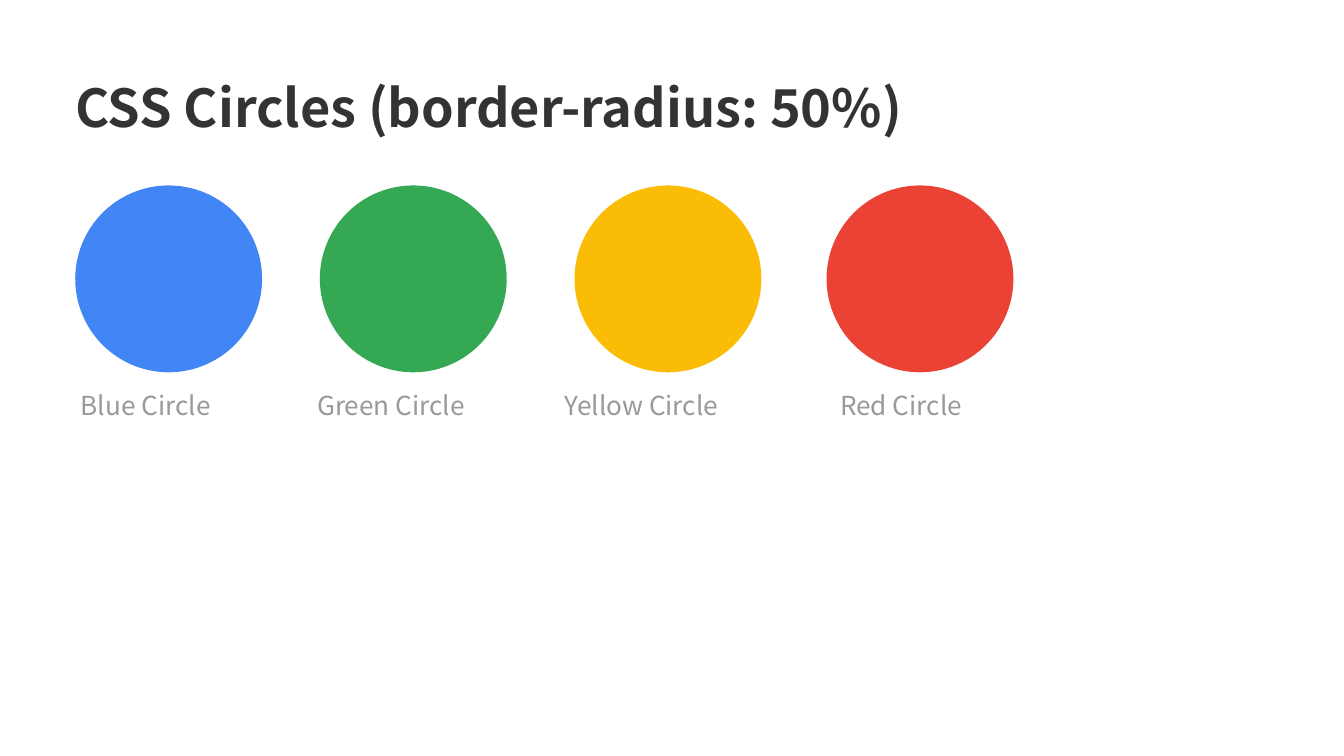
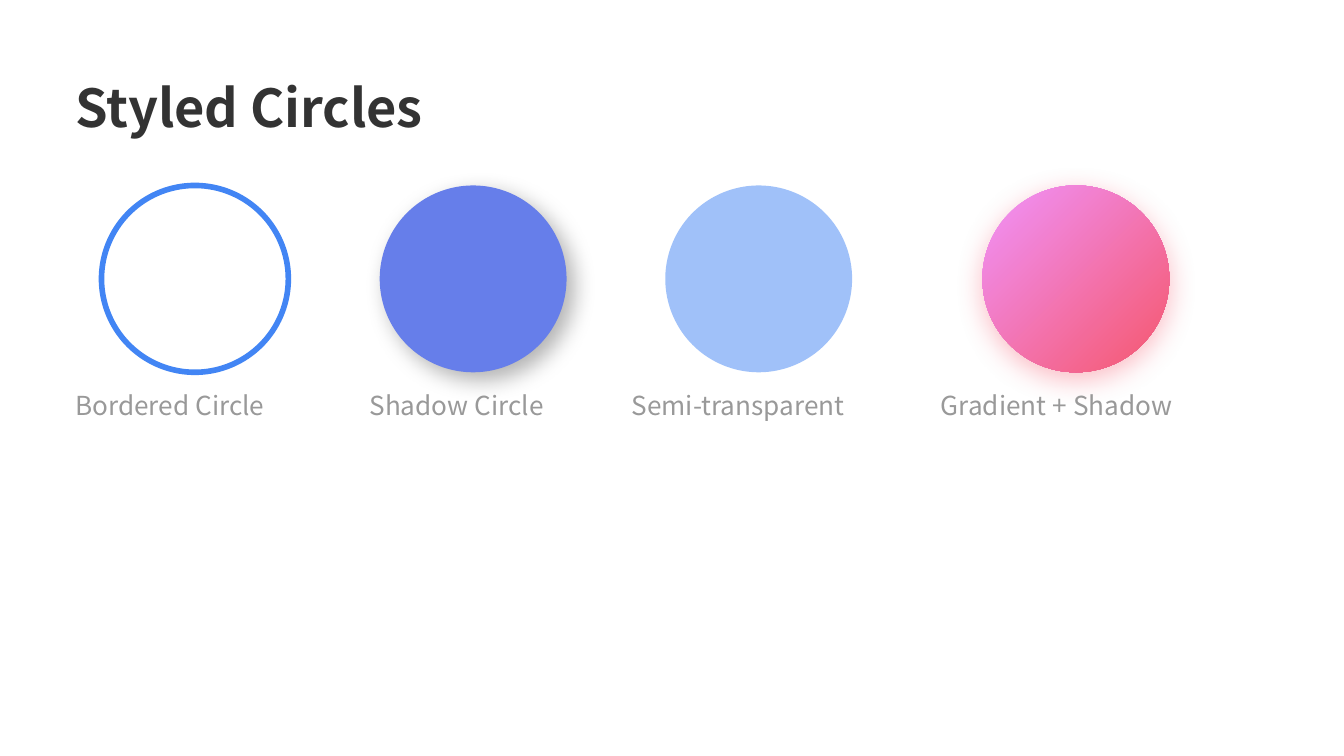
import pptx
import pptx.dml.color
import pptx.enum.shapes
import pptx.oxml
import pptx.oxml.ns
import pptx.util
from pptx.util import Inches

FONT = "Noto Sans CJK SC"
HUES = {
    "title": "333333", "label": "999999", "white": "FFFFFF", "black": "000000",
    "blue": "4285F4", "green": "34A853", "yellow": "FBBC05", "red": "EA4335",
    "indigo": "667EEA", "violet": "F093FB", "pink": "F5576C",
}
LEFT, GAP = 0.56, 0.41
SIZE = 1.39  # circle diameter

# Each circle: label, label width, style
DECK = [
    ("CSS Circles (border-radius: 50%)", [
        ("Blue Circle", 1.31, {"fill": "blue"}),
        ("Green Circle", 1.43, {"fill": "green"}),
        ("Yellow Circle", 1.54, {"fill": "yellow"}),
        ("Red Circle", 1.19, {"fill": "red"}),
    ]),
    ("Styled Circles", [
        ("Bordered Circle", 1.78, {"fill": "white", "line": "blue"}),
        # shadow: colour, opacity %, blur pt, distance pt, angle
        ("Shadow Circle", 1.54, {"fill": "indigo", "shadow": ("black", 30, 12, 5.7, 45)}),
        ("Semi-transparent", 1.89, {"fill": "blue", "alpha": 50}),
        ("Gradient + Shadow", 2.01, {"blend": ("violet", "pink"),
                                     "shadow": ("pink", 40, 15, 4, 90)}),
    ]),
]


def hue(name):
    return pptx.dml.color.RGBColor.from_string(HUES[name])


def write(shapes, text, left, top, width, height, size, tint, bold=False):
    frame = shapes.add_textbox(Inches(left), Inches(top), Inches(width), Inches(height)).text_frame
    frame.word_wrap = True
    frame.margin_left = frame.margin_right = frame.margin_top = frame.margin_bottom = 0
    run = frame.paragraphs[0].add_run()
    run.text = text
    run.font.name = FONT
    run.font.size = pptx.util.Pt(size)
    run.font.bold = bold
    run.font.color.rgb = hue(tint)


prs = pptx.Presentation()
prs.slide_width, prs.slide_height = Inches(10), Inches(10 * 9 / 16)

for title, items in DECK:
    slide = prs.slides.add_slide(prs.slide_layouts[6])
    write(slide.shapes, title, LEFT, 0.56, 8.89, 0.56, 28, "title", True)

    left = LEFT
    for label, width, style in items:
        # The wider of circle and label sets the column; both are centred in it
        span = max(SIZE, width)
        group = slide.shapes.add_group_shape().shapes
        disc = group.add_shape(pptx.enum.shapes.MSO_SHAPE.OVAL, Inches(left + (span - SIZE) / 2),
                               Inches(1.38), Inches(SIZE), Inches(SIZE))
        disc.shadow.inherit = False
        props = disc._element.spPr

        if "blend" in style:
            disc.fill.gradient()
            disc.fill.gradient_angle = 315
            for stop, name in zip(disc.fill.gradient_stops, style["blend"]):
                stop.color.rgb = hue(name)
        else:
            disc.fill.solid()
            disc.fill.fore_color.rgb = hue(style["fill"])

        if "alpha" in style:
            tone = props.find(pptx.oxml.ns.qn("a:solidFill"))[0]
            tone.append(pptx.oxml.parse_xml(
                f'<a:alpha {pptx.oxml.ns.nsdecls("a")} val="{style["alpha"] * 1000}"/>'))

        if "line" in style:
            disc.line.color.rgb = hue(style["line"])
            disc.line.width = pptx.util.Pt(3)
        else:
            disc.line.fill.background()

        if "shadow" in style:
            name, alpha, blur, dist, angle = style["shadow"]
            props.find(pptx.oxml.ns.qn("a:effectLst")).append(pptx.oxml.parse_xml(
                f'<a:outerShdw {pptx.oxml.ns.nsdecls("a")} blurRad="{pptx.util.Pt(blur)}"'
                f' dist="{pptx.util.Pt(dist)}" dir="{angle * 60000}" algn="ctr" rotWithShape="0">'
                f'<a:srgbClr val="{HUES[name]}"><a:alpha val="{alpha * 1000}"/></a:srgbClr>'
                '</a:outerShdw>'))

        write(group, label, left + (span - width) / 2, 2.9, width, 0.28, 14, "label")
        left += span + GAP

prs.save("out.pptx")
